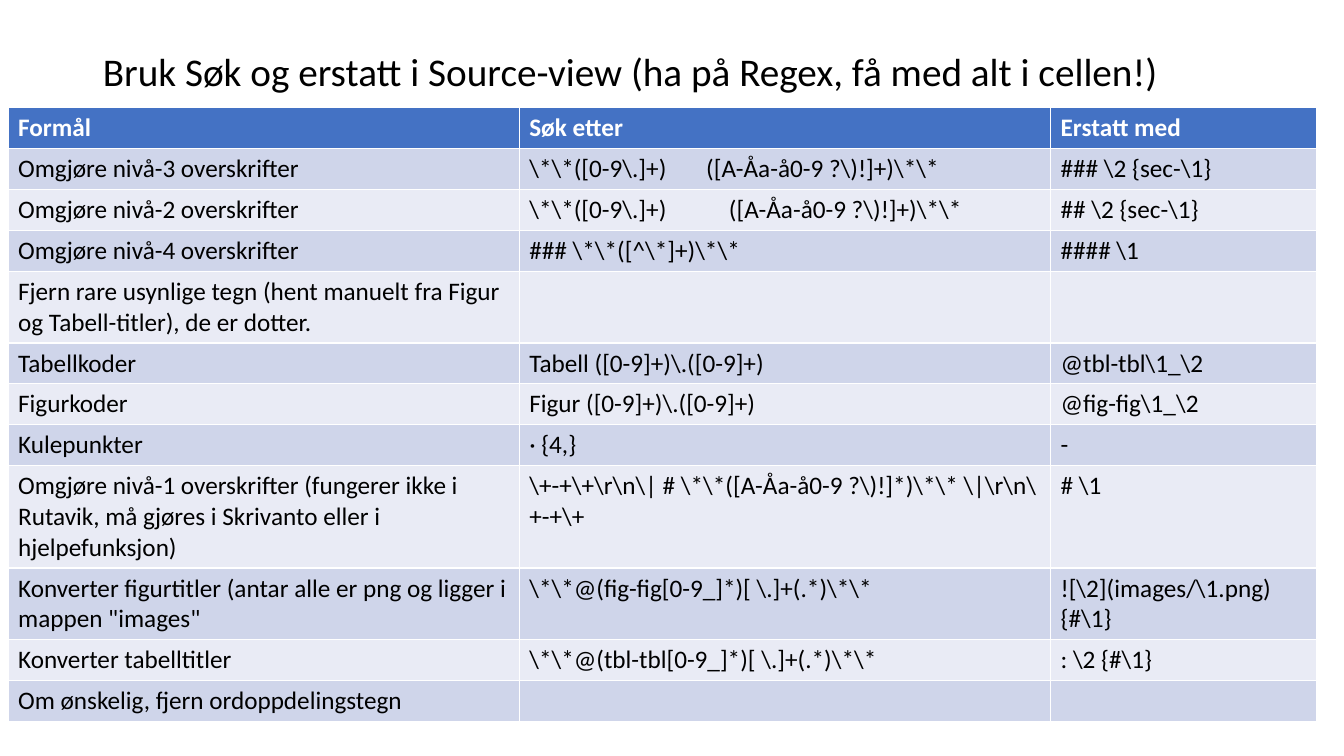
"""Build a slide with a table of search-and-replace patterns."""
from pptx import Presentation
from pptx.dml.color import RGBColor as Rgb
from pptx.enum.text import MSO_ANCHOR as Anchor, PP_ALIGN as Align
from pptx.util import Inches, Pt


def style(par, size, color, bold=False):
    font = par.font
    font.name, font.size, font.bold = "Calibri", Pt(size), bold
    font.color.rgb = Rgb.from_string(color)


deck = Presentation()
deck.slide_width, deck.slide_height = Inches(13.33), Inches(7.5)
slide = deck.slides.add_slide(deck.slide_layouts[5])

title = slide.shapes.title
title.left, title.top = Inches(0.92), Inches(0.4)
title.width, title.height = Inches(11.97), Inches(0.67)
title.text = "Bruk Søk og erstatt i Source-view (ha på Regex, få med alt i cellen!)"
title.text_frame.vertical_anchor = Anchor.MIDDLE
head = title.text_frame.paragraphs[0]
head.alignment, head.line_spacing = Align.LEFT, 0.9
style(head, 28, "000000")

gap = chr(160)
number, words = r"\*\*([0-9\.]+)", r" ([A-Åa-å0-9 ?\)!]+)\*\*"
rows = [
    ("Formål", "Søk etter", "Erstatt med"),
    ("Omgjøre nivå-3 overskrifter", number + gap * 6 + words, r"### \2 {sec-\1}"),
    ("Omgjøre nivå-2 overskrifter", number + gap * 10 + words, r"## \2 {sec-\1}"),
    ("Omgjøre nivå-4 overskrifter", r"### \*\*([^\*]+)\*\*", r"#### \1"),
    ("Fjern rare usynlige tegn (hent manuelt fra Figur og Tabell-titler), "
     "de er dotter.", "", ""),
    ("Tabellkoder", r"Tabell ([0-9]+)\.([0-9]+)", r"@tbl-tbl\1_\2"),
    ("Figurkoder", r"Figur ([0-9]+)\.([0-9]+)", r"@fig-fig\1_\2"),
    ("Kulepunkter", "·" + gap + "{4,}", "-"),
    ("Omgjøre nivå-1 overskrifter (fungerer ikke i Rutavik, må gjøres i "
     "Skrivanto eller i hjelpefunksjon)",
     r"\+-+\+\r\n\| # \*\*([A-Åa-å0-9 ?\)!]*)\*\* \|\r\n\+-+\+", r"# \1"),
    ('Konverter figurtitler (antar alle er png og ligger i mappen "images"',
     r"\*\*@(fig-fig[0-9_]*)[ \.]+(.*)\*\*", r"![\2](images/\1.png){#\1}"),
    ("Konverter tabelltitler", r"\*\*@(tbl-tbl[0-9_]*)[ \.]+(.*)\*\*", r": \2 {#\1}"),
    ("Om ønskelig, fjern ordoppdelingstegn", "", ""),
]
widths = [5.07, 5.27, 2.64]
line = Pt(29.2)

table = slide.shapes.add_table(
    len(rows), len(widths), Inches(0.08), Inches(1.07),
    Inches(sum(widths)), line * len(rows)).table
for col, width in zip(table.columns, widths):
    col.width = Inches(width)

for r, row in enumerate(rows):
    table.rows[r].height = line
    top = r == 0
    fill = "4472C4" if top else ("E9EBF5", "CFD5EA")[r % 2]
    for c, text in enumerate(row):
        cell = table.cell(r, c)
        cell.text = text
        cell.fill.solid()
        cell.fill.fore_color.rgb = Rgb.from_string(fill)
        style(cell.text_frame.paragraphs[0], 18, "FFFFFF" if top else "000000", top)

deck.save("out.pptx")
